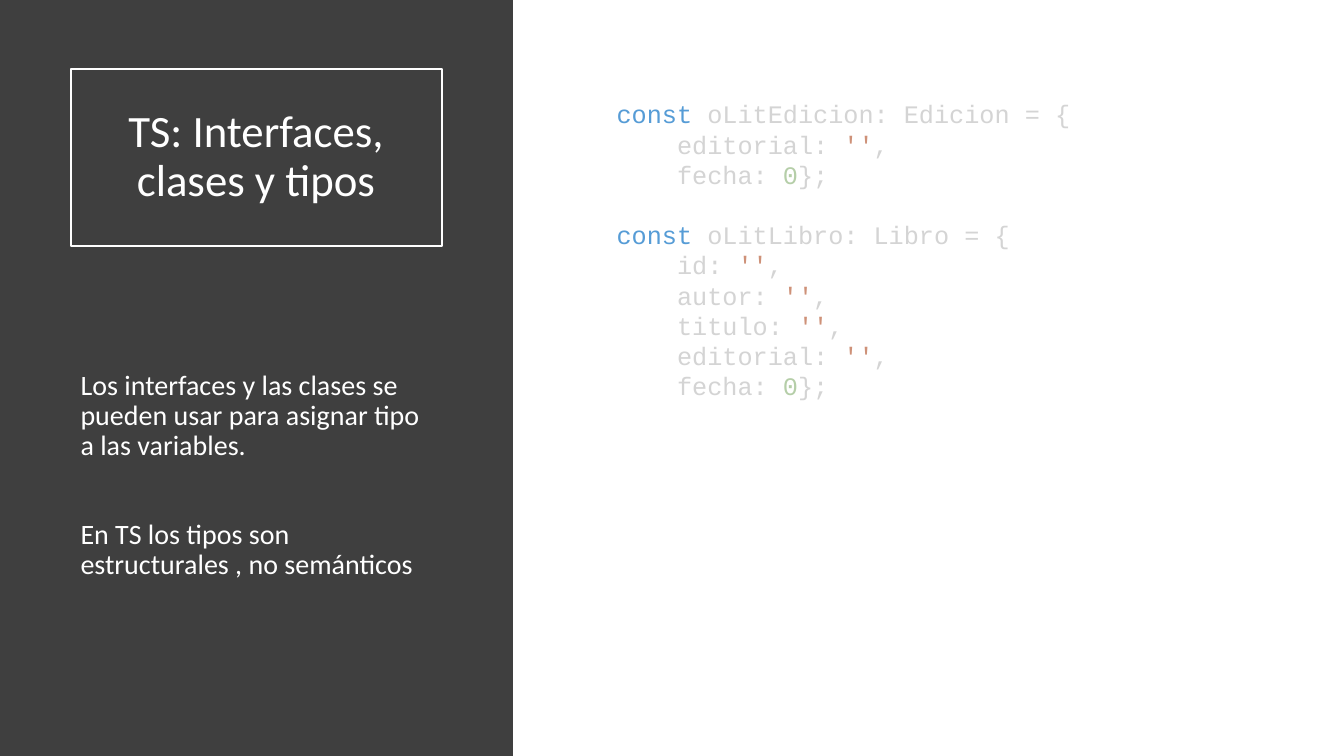
from pptx import Presentation
from pptx.dml.color import RGBColor
from pptx.enum.shapes import MSO_SHAPE
from pptx.enum.text import MSO_ANCHOR, PP_ALIGN
from pptx.util import Cm, Pt

# Content
TITLE = "TS: Interfaces, clases y tipos"
NOTES = [
    "Los interfaces y las clases se pueden usar para asignar tipo a las variables.",
    "En TS los tipos son estructurales , no semánticos",
]
# Each block is a list of lines, each line a list of (text, colour name)
CODE_BLOCKS = [
    [
        [("const ", "keyword"), ("oLitEdicion: Edicion = {", "plain")],
        [("    editorial: ", "plain"), ("''", "string"), (",", "plain")],
        [("    fecha: ", "plain"), ("0", "number"), ("};", "plain")],
    ],
    [
        [("const ", "keyword"), ("oLitLibro: Libro = {", "plain")],
        [("    id: ", "plain"), ("''", "string"), (",", "plain")],
        [("    autor: ", "plain"), ("''", "string"), (",", "plain")],
        [("    titulo: ", "plain"), ("''", "string"), (",", "plain")],
        [("    editorial: ", "plain"), ("''", "string"), (",", "plain")],
        [("    fecha: ", "plain"), ("0", "number"), ("};", "plain")],
    ],
]
COLORS = {
    "panel": "3F3F3F",
    "white": "FFFFFF",
    "keyword": "569CD6",
    "plain": "D4D4D4",
    "string": "CE9178",
    "number": "B5CEA8",
}

# Layout
SLIDE_WIDTH, SLIDE_HEIGHT = Cm(33.87), Cm(19.05)
COLUMN_LEFT, COLUMN_WIDTH = Cm(1.78), Cm(9.35)
CODE_LINE = Pt(21.6)


def color(name):
    return RGBColor.from_string(COLORS[name])


def add_run(paragraph, text, font_name, size, color_name):
    run = paragraph.add_run()
    run.text = text
    run.font.name = font_name
    run.font.size = Pt(size)
    run.font.color.rgb = color(color_name)


def add_rectangle(slide, left, top, width, height):
    shape = slide.shapes.add_shape(MSO_SHAPE.RECTANGLE, left, top, width, height)
    shape.shadow.inherit = False
    return shape


def add_text_frame(slide, left, top, width, height):
    frame = slide.shapes.add_textbox(left, top, width, height).text_frame
    frame.word_wrap = True
    return frame


def next_paragraph(frame, is_first):
    return frame.paragraphs[0] if is_first else frame.add_paragraph()


def add_panel(slide):
    panel = add_rectangle(slide, 0, 0, Cm(12.93), SLIDE_HEIGHT)
    panel.fill.solid()
    panel.fill.fore_color.rgb = color("panel")
    panel.line.fill.background()


def add_title(slide):
    box = add_rectangle(slide, COLUMN_LEFT, Cm(1.73), COLUMN_WIDTH, Cm(4.47))
    box.fill.background()
    box.line.color.rgb = color("white")
    box.line.width = Pt(1.5)
    box.text_frame.word_wrap = True
    box.text_frame.vertical_anchor = MSO_ANCHOR.MIDDLE
    paragraph = box.text_frame.paragraphs[0]
    paragraph.alignment = PP_ALIGN.CENTER
    paragraph.line_spacing = 0.9
    add_run(paragraph, TITLE, "Calibri", 32, "white")


def add_notes(slide):
    frame = add_text_frame(slide, COLUMN_LEFT, Cm(8.1), COLUMN_WIDTH, Cm(7.75))
    frame.margin_top = Cm(1.25)
    for index, text in enumerate(NOTES):
        paragraph = next_paragraph(frame, index == 0)
        paragraph.line_spacing = 0.9
        if index:
            paragraph.space_before = Pt(42)
        add_run(paragraph, text, "Calibri", 20, "white")


def add_code(slide):
    frame = add_text_frame(slide, Cm(15.29), Cm(2.36), Cm(16.94), Cm(7.95))
    for block_index, block in enumerate(CODE_BLOCKS):
        for line_index, line in enumerate(block):
            paragraph = next_paragraph(frame, block_index == line_index == 0)
            paragraph.line_spacing = CODE_LINE
            if block_index and line_index == 0:
                paragraph.space_before = CODE_LINE
            for text, color_name in line:
                add_run(paragraph, text, "Courier New", 18, color_name)


def main():
    presentation = Presentation()
    presentation.slide_width = SLIDE_WIDTH
    presentation.slide_height = SLIDE_HEIGHT
    slide = presentation.slides.add_slide(presentation.slide_layouts[6])
    add_panel(slide)
    add_title(slide)
    add_notes(slide)
    add_code(slide)
    presentation.save("out.pptx")


if __name__ == "__main__":
    main()
